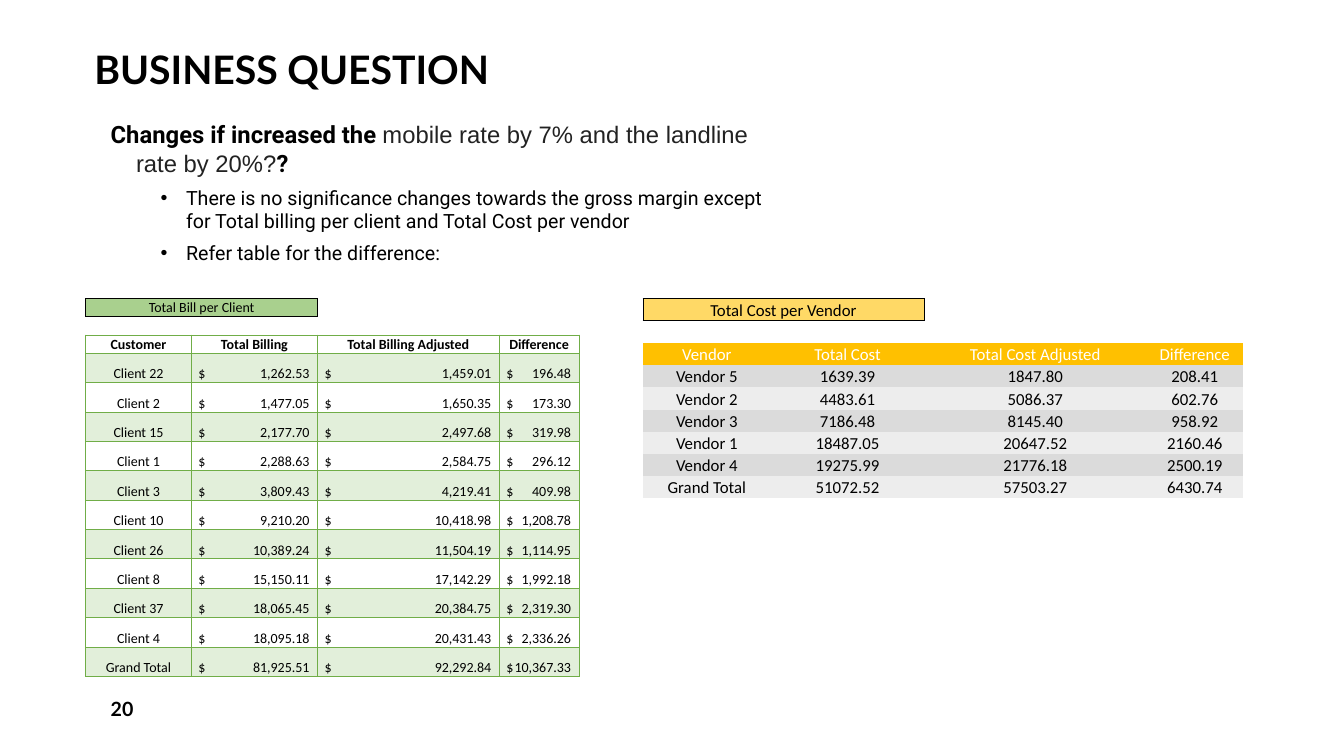
from lxml.etree import SubElement
from pptx import Presentation
from pptx.dml.color import RGBColor
from pptx.enum.text import MSO_ANCHOR, PP_ALIGN
from pptx.oxml.ns import qn
from pptx.util import Cm, Pt

NO_STYLE = "{2D5ABB26-0587-4C30-8999-92F81FD0307C}"


def style(font, name, size, color="000000", bold=False):
    font.name, font.size, font.bold = name, Pt(size), bold
    font.color.rgb = RGBColor.from_string(color)


def set_borders(cell, color, sides="LRTB"):
    tcPr = cell._tc.get_or_add_tcPr()
    for side in sides:
        ln = SubElement(tcPr, qn(f"a:ln{side}"), w=str(Pt(0.5)))
        SubElement(SubElement(ln, qn("a:solidFill")), qn("a:srgbClr"), val=color)


prs = Presentation()
prs.slide_width, prs.slide_height = Cm(33.87), Cm(19.05)
s = prs.slides.add_slide(prs.slide_layouts[6])

# Title and slide number
for text, left, top, width, height, size, anchor in [
    ("BUSINESS QUESTION", 2.13, 0.69, 28.9, 1.78, 28, MSO_ANCHOR.BOTTOM),
    ("20", 2.54, 17.35, 7.42, 1.02, 14, MSO_ANCHOR.MIDDLE),
]:
    tf = s.shapes.add_textbox(Cm(left), Cm(top), Cm(width), Cm(height)).text_frame
    tf.word_wrap = True
    tf.vertical_anchor = anchor
    tf.text = text
    style(tf.paragraphs[0].runs[0].font, "Lato", size, bold=True)
    if size == 28:
        tf.paragraphs[0].line_spacing = 0.9

# Question and findings
tf = s.shapes.add_textbox(Cm(2.54), Cm(2.9), Cm(17.2), Cm(5)).text_frame
tf.word_wrap = True
p = tf.paragraphs[0]
for text, name, color, bold in [
    ("Changes if increased the ", "Roboto", "000000", True),
    ("mobile rate by 7% and the landline rate by 20%?", "Arial", "222222", False),
    ("?", "Roboto", "000000", True),
]:
    r = p.add_run()
    r.text = text
    style(r.font, name, 17, color, bold)
for text in [
    "There is no significance changes towards the gross margin except for "
    "Total billing per client and Total Cost per vendor",
    "Refer table for the difference:",
]:
    p = tf.add_paragraph()
    p.text = text
    p.level = 1
    style(p.runs[0].font, "Roboto", 14)
for p in tf.paragraphs:
    p.space_after = Pt(6)
    pPr = p._p.get_or_add_pPr()
    pPr.set("marL", str(Cm(1.9 if p.level else 0.64)))
    pPr.set("indent", str(Cm(-0.64)))
    if p.level:
        SubElement(pPr, qn("a:buFont"), typeface="Arial")
        SubElement(pPr, qn("a:buChar"), char="•")

# Table contents: banner, then header and body rows
clients = [
    ("Customer", "Total Billing", "Total Billing Adjusted", "Difference"),
    ("Client 22", "1,262.53", "1,459.01", "196.48"),
    ("Client 2", "1,477.05", "1,650.35", "173.30"),
    ("Client 15", "2,177.70", "2,497.68", "319.98"),
    ("Client 1", "2,288.63", "2,584.75", "296.12"),
    ("Client 3", "3,809.43", "4,219.41", "409.98"),
    ("Client 10", "9,210.20", "10,418.98", "1,208.78"),
    ("Client 26", "10,389.24", "11,504.19", "1,114.95"),
    ("Client 8", "15,150.11", "17,142.29", "1,992.18"),
    ("Client 37", "18,065.45", "20,384.75", "2,319.30"),
    ("Client 4", "18,095.18", "20,431.43", "2,336.26"),
    ("Grand Total", "81,925.51", "92,292.84", "10,367.33"),
]
vendors = [
    ("Vendor", "Total Cost", "Total Cost Adjusted", "Difference"),
    ("Vendor 5", "1639.39", "1847.80", "208.41"),
    ("Vendor 2", "4483.61", "5086.37", "602.76"),
    ("Vendor 3", "7186.48", "8145.40", "958.92"),
    ("Vendor 1", "18487.05", "20647.52", "2160.46"),
    ("Vendor 4", "19275.99", "21776.18", "2500.19"),
    ("Grand Total", "51072.52", "57503.27", "6430.74"),
]
tables = [
    dict(banner="Total Bill per Client", rows=clients, left=2.16, size=10,
         widths=(2.66, 3.18, 4.58, 2.01), top_height=0.46, body_height=0.74,
         banner_fill="A9D08E", header_fill=None, header_color="000000",
         header_bold=True, bands=("E2EFDA", None), grid="70AD47", dollars=True),
    dict(banner="Total Cost per Vendor", rows=vendors, left=16.2, size=12,
         widths=(3.23, 3.86, 5.6, 2.44), top_height=0.56, body_height=0.56,
         banner_fill="FFD966", header_fill="FFC000", header_color="FFFFFF",
         header_bold=False, bands=("DBDBDB", "EDEDED"), grid=None, dollars=False),
]

for t in tables:
    rows = [(t["banner"], "", "", ""), ("",) * 4] + t["rows"]
    heights = [t["top_height"]] * 3 + [t["body_height"]] * (len(rows) - 3)
    frame = s.shapes.add_table(len(rows), 4, Cm(t["left"]), Cm(7.52),
                               Cm(sum(t["widths"])), Cm(sum(heights)))
    table = frame.table
    table.first_row = table.horz_banding = False
    table._tbl.tblPr.find(qn("a:tableStyleId")).text = NO_STYLE
    for column, width in zip(table.columns, t["widths"]):
        column.width = Cm(width)
    for row, height in zip(table.rows, heights):
        row.height = Cm(height)
    table.cell(0, 0).merge(table.cell(0, 1))

    for i, row in enumerate(rows):
        for j, text in enumerate(row):
            cell = table.cell(i, j)
            in_banner = i == 0 and j < 2
            is_amount = t["dollars"] and i > 2 and j > 0

            # Borders and fill
            if in_banner:
                set_borders(cell, "000000")
            elif i > 1 and t["grid"]:
                set_borders(cell, t["grid"])
            fill = None
            if in_banner:
                fill = t["banner_fill"]
            elif i == 2:
                fill = t["header_fill"]
            elif i > 2:
                fill = t["bands"][(i - 3) % 2]
            if fill:
                cell.fill.solid()
                cell.fill.fore_color.rgb = RGBColor.from_string(fill)
            else:
                cell.fill.background()

            # Text, with amounts set against a right tab
            cell.vertical_anchor = MSO_ANCHOR.BOTTOM
            cell.margin_left = Cm(0.18 if is_amount else 0.02)
            cell.margin_right = cell.margin_top = Cm(0.02)
            cell.margin_bottom = 0
            p = cell.text_frame.paragraphs[0]
            if not text:
                SubElement(p._p, qn("a:endParaRPr"), sz=str(t["size"] * 100))
                continue
            p.text = f"$\t{text}" if is_amount else text
            p.alignment = PP_ALIGN.LEFT if is_amount else PP_ALIGN.CENTER
            if is_amount:
                tabs = SubElement(p._p.get_or_add_pPr(), qn("a:tabLst"))
                SubElement(tabs, qn("a:tab"), algn="r",
                           pos=str(Cm(t["widths"][j] - 0.38)))
            header = i == 2
            for r in p.runs:
                style(r.font, "Calibri", t["size"],
                      t["header_color"] if header else "000000",
                      header and t["header_bold"])

prs.save("out.pptx")
